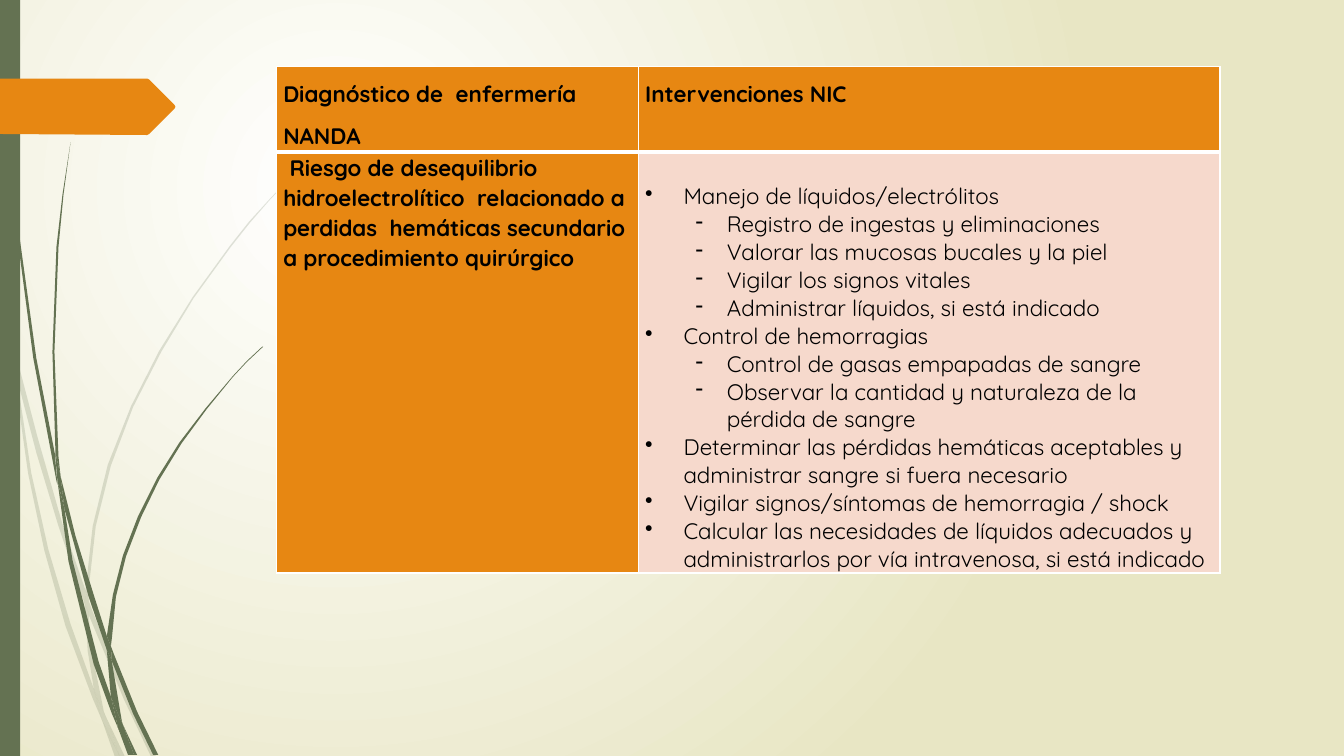
"""Builds the nursing diagnosis slide with its NANDA and NIC table."""
from dataclasses import dataclass
from typing import Optional

from lxml.etree import SubElement
from pptx import Presentation
from pptx.dml.color import RGBColor
from pptx.enum.shapes import MSO_SHAPE as Preset
from pptx.enum.text import PP_ALIGN as Align
from pptx.oxml.ns import qn
from pptx.util import Inches, Pt

GREEN, ORANGE, PINK, WHITE, CREAM, BLACK = "647252", "E78712", "F6D9CC", "FFFFFF", "E8E6C4", "000000"

PALE_BLADES = (
    "0.11 3.5 0.09 3.22 0 2.82 0 2.99 0.1 3.44",
    "0.58 5.22 0.84 5.99 0.85 5.86 0.62 5.2 0.37 4.33 0.14 3.45 0.17 3.76 0.36 4.49",
    "0.92 6.07 0.88 5.96 0.88 6.1 1.23 6.94 1.5 7.51 1.55 7.51 1.27 6.92",
    "1.19 7.51 1.24 7.51 1.05 7.11",
    "0.93 6.83 0.7 6.19 0.48 5.45 0.31 4.69 0.17 3.76 0.11 3.5 0.28 4.7 0.44 5.46 0.65 6.21 "
    "0.92 6.93 1.01 7.14 0.99 7.07",
    "0.84 5.99 0.87 6.46 0.93 6.83 0.96 6.92 1.05 7.11 1.03 7.06 0.91 6.46 0.88 6.1 0.88 6.08",
    "0.88 5.84 0.95 5.22 1.1 4.62 1.32 4.04 1.6 3.49 1.92 2.96 2.29 2.45 2.48 2.21 2.68 1.98 "
    "2.9 1.75 3.12 1.54 3.12 1.53 2.89 1.75 2.68 1.97 2.47 2.2 2.28 2.44 1.91 2.95 1.58 3.48 "
    "1.3 4.03 1.07 4.61 0.92 5.22 0.85 5.84 0.85 5.86 0.88 5.96",
    "1.01 7.14 1.14 7.51 1.19 7.51",
    "0.88 6.08 0.88 6.1 0.88 5.96 0.85 5.86 0.84 5.99",
    "0.96 6.92 0.93 6.83 0.99 7.07 1.01 7.14 1.19 7.51 1.05 7.11",
)
DARK_BLADES = (
    "0.07 1.1 0.17 2.33 0.33 3.55 0.56 4.77 0.57 4.81 0.55 4.57 0.55 4.53 0.36 3.55 0.19 2.32 "
    "0.08 1.09 0.05 0.48 0.04 0 0.03 0 0.04 0.48",
    "0.88 5.92 1.06 6.45 1.06 6.31 0.93 5.9 0.75 5.32 0.6 4.72 0.64 5.05",
    "1.13 6.49 1.1 6.41 1.11 6.56 1.32 7.08 1.52 7.49 1.57 7.49 1.36 7.06",
    "1.1 6.91 0.98 6.57 0.72 5.56 0.64 5.05 0.57 4.77 0.68 5.57 0.93 6.59 1.11 7.08 1.17 7.22 1.16 7.17",
    "0.6 4.72 0.58 4.53 0.54 3.49 0.58 2.45 0.63 1.93 0.7 1.41 0.62 1.93 0.56 2.45 0.52 3.49 0.55 4.49",
    "1.33 7.49 1.36 7.49 1.22 7.19",
    "0.57 4.77 0.64 5.05 0.6 4.72 0.55 4.49 0.55 4.53",
    "1.11 6.33 1.15 5.92 1.25 5.52 1.4 5.13 1.58 4.76 1.8 4.4 2.05 4.06 2.31 3.74 2.45 3.59 "
    "2.61 3.44 2.6 3.44 2.45 3.58 2.31 3.73 2.04 4.05 1.78 4.39 1.56 4.74 1.37 5.12 1.22 5.51 "
    "1.12 5.9 1.06 6.31 1.1 6.41",
    "1.17 7.22 1.27 7.49 1.31 7.49",
    "1.06 6.45 1.1 6.91 1.16 7.06 1.22 7.19 1.21 7.16 1.11 6.56 1.09 6.51",
    "1.06 6.45 1.09 6.51 1.11 6.56 1.1 6.41 1.06 6.31",
    "1.16 7.06 1.1 6.91 1.16 7.17 1.17 7.22 1.3 7.49 1.33 7.49 1.22 7.19",
)
TAG = "0 0.78 1.46 0.78 1.48 0.79 1.73 1.04 1.74 1.06 1.73 1.08 1.48 1.33 1.46 1.34 0 1.33"


@dataclass(frozen=True)
class Item:
    text: str
    level: int = 0
    bullet: str = "•"


@dataclass(frozen=True)
class Entry:
    items: tuple
    fill: str = ORANGE
    bold: bool = True
    spacing: Optional[float] = None
    align: Optional[Align] = None
    top: float = 0
    edges: tuple = (1, 1, 3, 1)


def plain(*texts: str) -> tuple:
    return tuple(Item(text, bullet="") for text in texts)


def steps(*texts: str) -> tuple:
    return tuple(Item(text, 1, "-") for text in texts)


INTERVENTIONS = (
    Item("Manejo de líquidos/electrólitos"),
    *steps("Registro de ingestas y eliminaciones", "Valorar las mucosas bucales y la piel",
           "Vigilar los signos vitales", "Administrar líquidos, si está indicado"),
    Item("Control de hemorragias"),
    *steps("Control de gasas empapadas de sangre",
           "Observar la cantidad y naturaleza de la pérdida de sangre"),
    Item("Determinar las pérdidas hemáticas aceptables y administrar sangre si fuera necesario"),
    Item("Vigilar signos/síntomas de hemorragia / shock"),
    Item("Calcular las necesidades de líquidos adecuados y administrarlos por vía intravenosa, si está indicado"),
)
HEADING = {"spacing": 1.5, "align": Align.JUSTIFY, "edges": (1, 1, 1, 3)}
CARE_PLAN = (
    (Entry(plain("Diagnóstico de  enfermería", "NANDA"), **HEADING),
     Entry(plain("Intervenciones NIC"), **HEADING)),
    (Entry(plain(" Riesgo de desequilibrio hidroelectrolítico  relacionado a perdidas  hemáticas "
                 "secundario a procedimiento quirúrgico"), spacing=1.07),
     Entry(INTERVENTIONS, PINK, False, top=0.3)),
)


def paint(fill, colour: str) -> None:
    fill.solid()
    fill.fore_color.rgb = RGBColor.from_string(colour)


def finish(shape, colour: str, alpha: int = 100) -> None:
    paint(shape.fill, colour)
    shape.line.fill.background()
    shape.shadow.inherit = False
    if alpha < 100:
        tint = next(shape._element.spPr.iter(qn("a:srgbClr")))
        SubElement(tint, qn("a:alpha"), val=str(alpha * 1000))


def draw_outline(shapes, outline: str, colour: str, alpha: int = 100) -> None:
    lengths = [Inches(float(number)) for number in outline.split()]
    start, *rest = zip(lengths[::2], lengths[1::2])
    builder = shapes.build_freeform(*start)
    builder.add_line_segments(rest, close=True)
    finish(builder.convert_to_shape(), colour, alpha)


def draw_background(slide) -> None:
    fill = slide.background.fill
    fill.gradient()
    for stop, colour, position in zip(fill.gradient_stops, (WHITE, CREAM), (0, 1)):
        stop.color.rgb, stop.position = RGBColor.from_string(colour), position
    gradient = next(slide._element.iter(qn("a:gradFill")))
    for line in gradient.findall(qn("a:lin")):
        gradient.remove(line)
    SubElement(SubElement(gradient, qn("a:path"), path="circle"), qn("a:fillToRect"),
               l="50000", t="50000", r="100000", b="100000")


def write_item(paragraph, item: Item, entry: Entry) -> None:
    paragraph.alignment, paragraph.level = entry.align, item.level
    paragraph.line_spacing = entry.spacing
    if item.bullet:
        left, hanging = ((0.38, 0.38), (0.81, 0.31))[item.level]
        properties = paragraph._p.get_or_add_pPr()
        properties.set("marL", str(Inches(left)))
        properties.set("indent", str(-Inches(hanging)))
        SubElement(properties, qn("a:buChar"), char=item.bullet)
    run = paragraph.add_run()
    run.text = item.text
    for name, value in {"name": "Quicksand", "size": Pt(16), "bold": entry.bold}.items():
        setattr(run.font, name, value)
    run.font.color.rgb = RGBColor.from_string(BLACK)


def fill_cell(cell, entry: Entry) -> None:
    margins = {"margin_left": 0.07, "margin_right": 0.07, "margin_top": entry.top, "margin_bottom": 0}
    for name, value in margins.items():
        setattr(cell, name, Inches(value))
    for side, width in zip("LRTB", entry.edges):
        edge = SubElement(cell._tc.get_or_add_tcPr(), qn(f"a:ln{side}"), w=str(Pt(width)))
        SubElement(SubElement(edge, qn("a:solidFill")), qn("a:srgbClr"), val=WHITE)
    paint(cell.fill, entry.fill)
    frame = cell.text_frame
    for index, item in enumerate(entry.items):
        write_item(frame.add_paragraph() if index else frame.paragraphs[0], item, entry)


def draw_care_plan(shapes) -> None:
    table = shapes.add_table(2, 2, Inches(2.74), Inches(0.66), Inches(9.36), Inches(5.01)).table
    for column, width in zip(table.columns, (3.59, 5.77)):
        column.width = Inches(width)
    for row, height, entries in zip(table.rows, (0.85, 4.16), CARE_PLAN):
        row.height = Inches(height)
        for cell, entry in zip(row.cells, entries):
            fill_cell(cell, entry)


def main() -> None:
    deck = Presentation()
    deck.slide_width, deck.slide_height = Inches(13.33), Inches(7.5)
    slide = deck.slides.add_slide(deck.slide_layouts[6])
    draw_background(slide)
    for blades, alpha in ((PALE_BLADES, 20), (DARK_BLADES, 100)):
        grass = slide.shapes.add_group_shape()
        for outline in blades:
            draw_outline(grass.shapes, outline, GREEN, alpha)
    band = slide.shapes.add_shape(Preset.RECTANGLE, 0, 0, Inches(0.2), Inches(7.5))
    finish(band, GREEN)
    draw_outline(slide.shapes, TAG, ORANGE)
    draw_care_plan(slide.shapes)
    deck.save("out.pptx")


if __name__ == "__main__":
    main()
